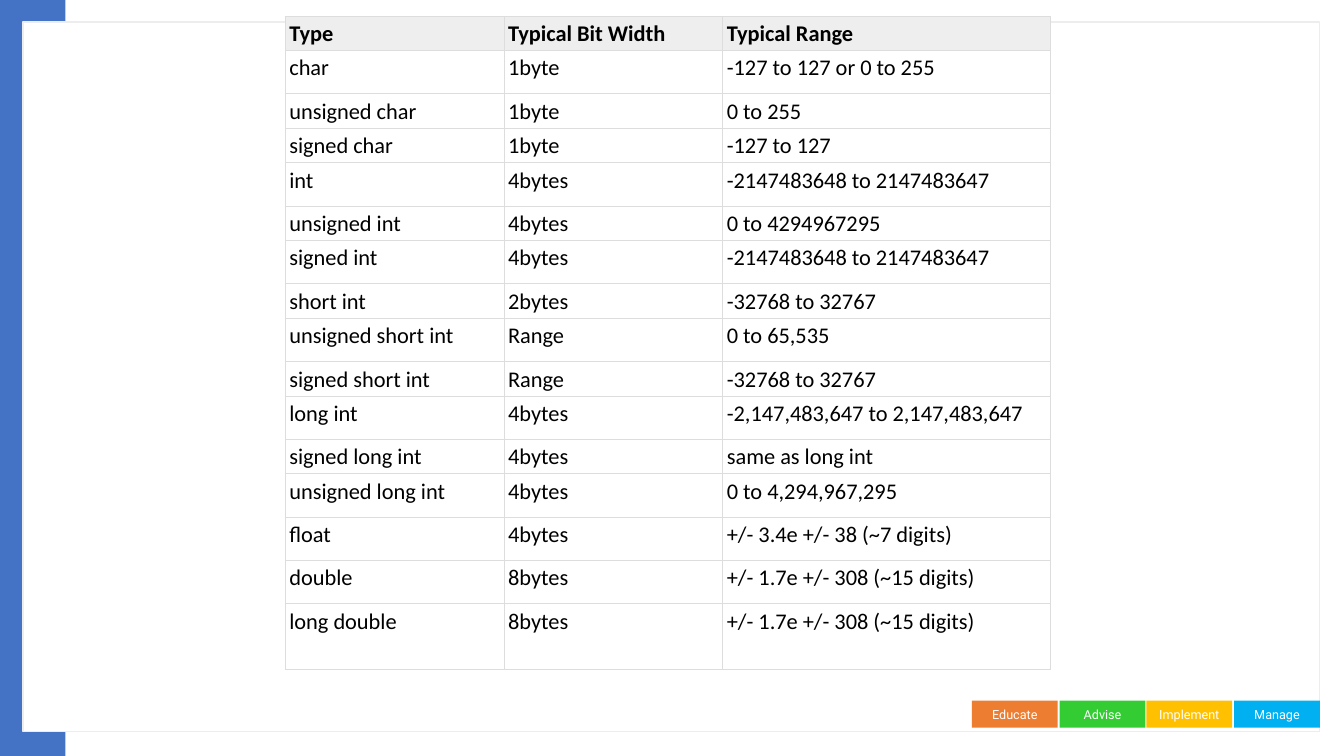
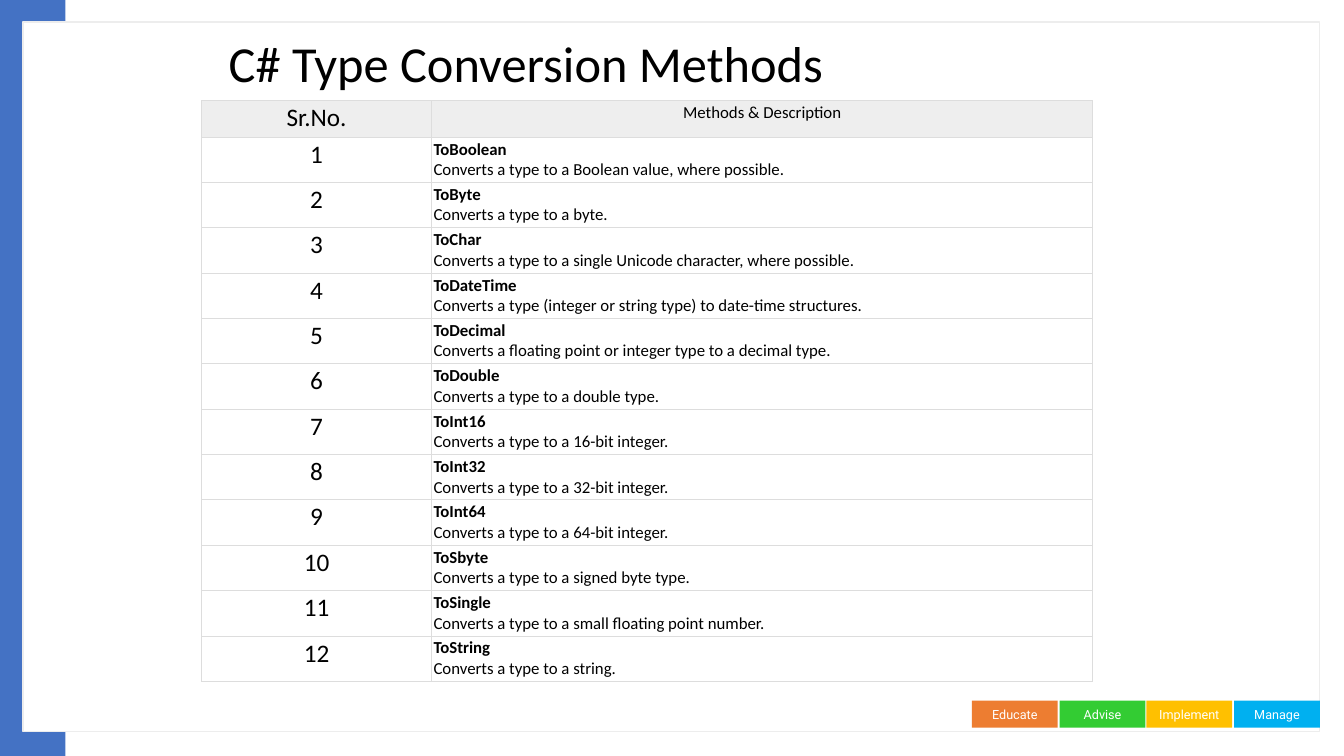
from lxml import etree
from pptx import Presentation
from pptx.dml.color import RGBColor
from pptx.enum.shapes import MSO_SHAPE
from pptx.enum.text import MSO_ANCHOR, PP_ALIGN
from pptx.oxml.ns import qn
from pptx.util import Emu, Pt

RECT = MSO_SHAPE.RECTANGLE
MIDDLE = MSO_ANCHOR.MIDDLE
LEFT, CENTER, JUSTIFY = PP_ALIGN.LEFT, PP_ALIGN.CENTER, PP_ALIGN.JUSTIFY

EMU_PER_PX = 9144
BODY_FONT, CHIP_FONT = "Calibri", "Roboto"
BLACK, WHITE, BLUE = "000000", "FFFFFF", "4472C4"
FRAME_LINE, HEADER_FILL, GRID = "EDEDED", "EEEEEE", "DDDDDD"
CHIPS = [("Educate", "ED7D31"), ("Advise", "33CC33"),
         ("Implement", "FFC000"), ("Manage", "00B0F0")]
CHIP_LEFT, CHIP_PITCH = 964, 86.7

TYPE_ROWS = [
    ("Type", "Typical Bit Width", "Typical Range"),
    ("char", "1byte", "-127 to 127 or 0 to 255"),
    ("unsigned char", "1byte", "0 to 255"),
    ("signed char", "1byte", "-127 to 127"),
    ("int", "4bytes", "-2147483648 to 2147483647"),
    ("unsigned int", "4bytes", "0 to 4294967295"),
    ("signed int", "4bytes", "-2147483648 to 2147483647"),
    ("short int", "2bytes", "-32768 to 32767"),
    ("unsigned short int", "Range", "0 to 65,535"),
    ("signed short int", "Range", "-32768 to 32767"),
    ("long int", "4bytes", "-2,147,483,647 to 2,147,483,647"),
    ("signed long int", "4bytes", "same as long int"),
    ("unsigned long int", "4bytes", "0 to 4,294,967,295"),
    ("float", "4bytes", "+/- 3.4e +/- 38 (~7 digits)"),
    ("double", "8bytes", "+/- 1.7e +/- 308 (~15 digits)"),
    ("long double", "8bytes", "+/- 1.7e +/- 308 (~15 digits)"),
]
TYPE_HEIGHTS = [34, 43, 34] + [34, 43] * 5 + [43, 43, 65]

METHODS = [
    ("ToBoolean", "Converts a type to a Boolean value, where possible."),
    ("ToByte", "Converts a type to a byte."),
    ("ToChar", "Converts a type to a single Unicode character, where possible."),
    ("ToDateTime", "Converts a type (integer or string type) to date-time structures."),
    ("ToDecimal", "Converts a floating point or integer type to a decimal type."),
    ("ToDouble", "Converts a type to a double type."),
    ("ToInt16", "Converts a type to a 16-bit integer."),
    ("ToInt32", "Converts a type to a 32-bit integer."),
    ("ToInt64", "Converts a type to a 64-bit integer."),
    ("ToSbyte", "Converts a type to a signed byte type."),
    ("ToSingle", "Converts a type to a small floating point number."),
    ("ToString", "Converts a type to a string."),
]


def px(n):
    """Turn px into EMU."""
    return Emu(n * EMU_PER_PX)


def rgb(color):
    """Turn a hex string into a colour."""
    return RGBColor.from_string(color)


def add_text(tf, text, size=16, font=BODY_FONT, color=BLACK, bold=False,
             align=LEFT, spacing=None):
    """Write one paragraph, using the first one while it is empty."""
    p = tf.paragraphs[0]
    if p.runs:
        p = tf.add_paragraph()
    p.alignment = align
    p.line_spacing = spacing
    r = p.add_run()
    r.text = text
    r.font.size, r.font.name, r.font.bold = Pt(size), font, bold
    r.font.color.rgb = rgb(color)


def add_rect(s, x, y, w, h, fill, line=None):
    """Draw a flat rectangle with an optional outline."""
    sp = s.shapes.add_shape(RECT, px(x), px(y), px(w), px(h))
    sp.shadow.inherit = False
    sp.fill.solid()
    sp.fill.fore_color.rgb = rgb(fill)
    if line:
        sp.line.color.rgb = rgb(line)
        sp.line.width = Pt(1)
    else:
        sp.line.fill.background()
    return sp


def add_chip(s, x, label, fill):
    """Draw one labelled footer chip."""
    tf = add_rect(s, x, 695, 85, 27, fill).text_frame
    tf.vertical_anchor = MIDDLE
    tf.margin_left = tf.margin_right = 0
    add_text(tf, label, size=9, font=CHIP_FONT, color=WHITE, align=CENTER)


def add_title(s, text):
    """Write the slide title."""
    tf = s.shapes.add_textbox(px(217), px(33), px(908), px(65)).text_frame
    tf.word_wrap = True
    tf.vertical_anchor = MIDDLE
    add_text(tf, text, size=36, spacing=0.9)


def set_borders(cell):
    """Rule all four sides of a cell, ahead of its fill."""
    tcPr = cell._tc.get_or_add_tcPr()
    for i, side in enumerate(("a:lnL", "a:lnR", "a:lnT", "a:lnB")):
        ln = etree.Element(qn(side), w=str(Pt(0.75)))
        fill = etree.SubElement(ln, qn("a:solidFill"))
        etree.SubElement(fill, qn("a:srgbClr"), val=GRID)
        tcPr.insert(i, ln)


def fill_cell(cell, paragraphs, margins, header):
    """Format a cell and write its (text, format) paragraphs."""
    (cell.margin_left, cell.margin_top,
     cell.margin_right, cell.margin_bottom) = map(px, margins)
    if header:
        cell.fill.solid()
        cell.fill.fore_color.rgb = rgb(HEADER_FILL)
    else:
        cell.fill.background()
    set_borders(cell)
    for text, style in paragraphs:
        add_text(cell.text_frame, text, **style)


def add_grid(s, x, y, widths, heights, rows, margins):
    """Add a ruled table with a grey header row."""
    table = s.shapes.add_table(len(rows), len(widths), px(x), px(y),
                               px(sum(widths)), px(sum(heights))).table
    table.horz_banding = table.first_row = False
    for column, w in zip(table.columns, widths):
        column.width = px(w)
    for i, (row, h) in enumerate(zip(rows, heights)):
        table.rows[i].height = px(h)
        for j, paragraphs in enumerate(row):
            fill_cell(table.cell(i, j), paragraphs, margins, i == 0)


def add_base_slide(prs):
    """Add a slide with the shared band, frame and footer chips."""
    s = prs.slides.add_slide(prs.slide_layouts[6])
    add_rect(s, 0, 0, 65, 750, BLUE)
    add_rect(s, 23, 22, 1286, 704, WHITE, line=FRAME_LINE)
    for i, (label, fill) in enumerate(CHIPS):
        add_chip(s, round(CHIP_LEFT + i * CHIP_PITCH), label, fill)
    return s


def add_types_slide(prs):
    """Build the table of data types."""
    s = add_base_slide(prs)
    rows = [[[(text, {"bold": i == 0})] for text in row]
            for i, row in enumerate(TYPE_ROWS)]
    add_grid(s, 283, 16, [217, 217, 325], TYPE_HEIGHTS, rows, (4, 4, 4, 3))


def add_methods_slide(prs):
    """Build the table of conversion methods."""
    s = add_base_slide(prs)
    add_title(s, "C# Type Conversion Methods")
    number = {"size": 18, "align": CENTER}
    detail = {"size": 12, "align": JUSTIFY}
    rows = [[[("Sr.No.", number)],
             [("Methods & Description", {"size": 12, "align": CENTER})]]]
    for i, (name, description) in enumerate(METHODS, 1):
        rows.append([[(str(i), number)],
                     [(name, {**detail, "bold": True}), (description, detail)]])
    heights = [36] + [45] * len(METHODS)
    add_grid(s, 200, 100, [228, 656], heights, rows, (2, 2, 2, 2))


def main():
    """Build and save the deck."""
    prs = Presentation()
    prs.slide_width, prs.slide_height = px(1333), px(750)
    add_types_slide(prs)
    add_methods_slide(prs)
    prs.save("out.pptx")


if __name__ == "__main__":
    main()
